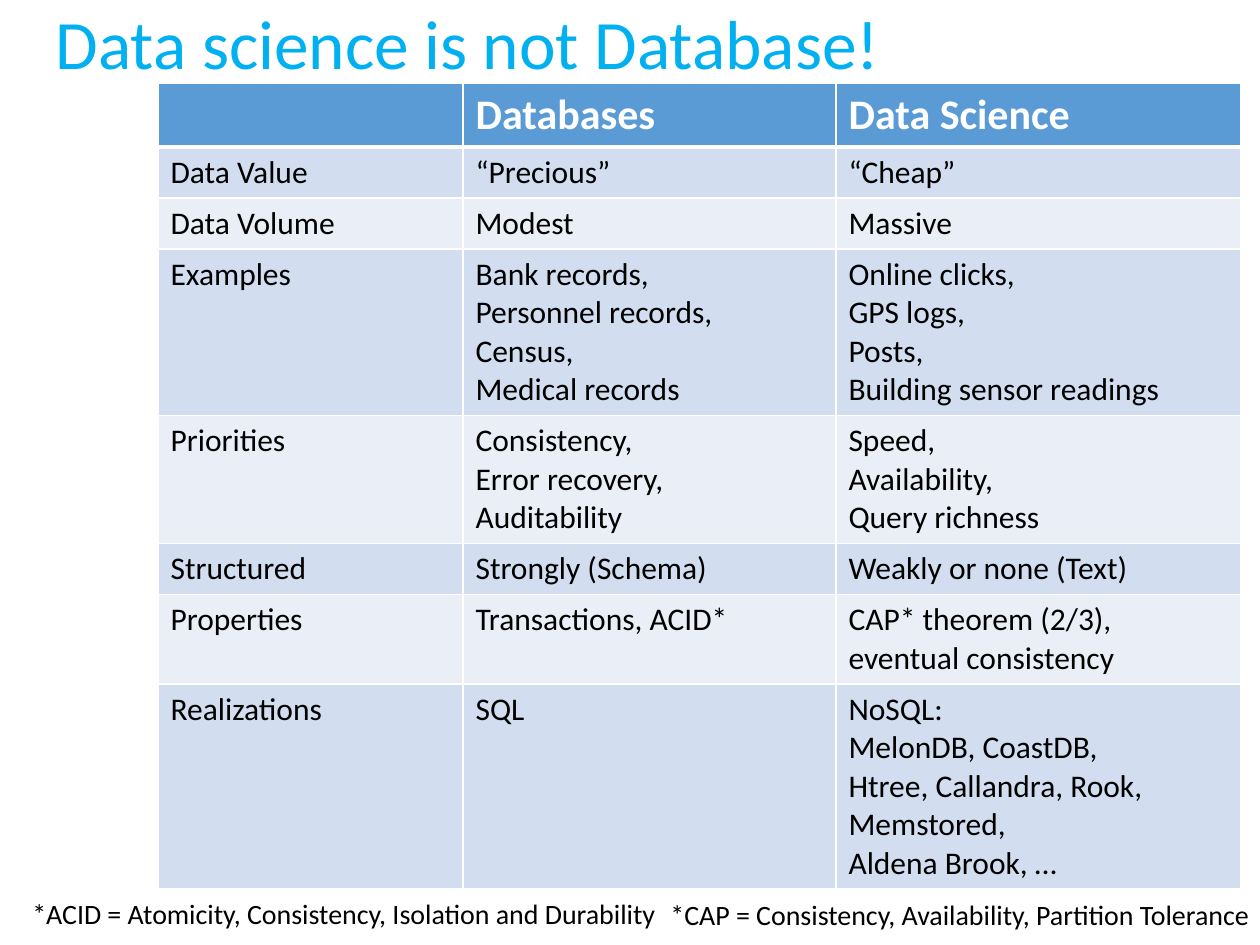
from lxml.etree import SubElement
from pptx import Presentation
from pptx.dml.color import RGBColor
from pptx.enum.text import MSO_ANCHOR as Anchor, MSO_AUTO_SIZE as Fit, PP_ALIGN as Align
from pptx.oxml.ns import qn
from pptx.util import Pt

SCALE = 914400 / 126
FONT = "Calibri"
WIDTHS = (305, 373, 405)
HEAD = ("", "Databases", "Data Science")
# Lines of text in the tallest cell, then the three cells
ROWS = [
    (1, "Data Value", "“Precious”", "“Cheap”"),
    (1, "Data Volume", "Modest", "Massive"),
    (4, "Examples", "Bank records,\vPersonnel records,\nCensus,\nMedical records",
     "Online clicks,\nGPS logs,\nPosts,\nBuilding sensor readings"),
    (3, "Priorities", "Consistency,\nError recovery,\nAuditability",
     "Speed,\nAvailability,\nQuery richness"),
    (1, "Structured", "Strongly (Schema)", "Weakly or none (Text)"),
    (2, "Properties", "Transactions, ACID*",
     "CAP* theorem (2/3),\neventual consistency"),
    (5, "Realizations", "SQL",
     "NoSQL:\nMelonDB, CoastDB,\nHtree, Callandra, Rook, Memstored,\nAldena Brook, …"),
]


def px(n):
    return round(n * SCALE)


def color(code):
    return RGBColor.from_string(code)


def style(frame, size, code, bold=False):
    for para in frame.paragraphs:
        font = para.font
        font.name, font.size, font.bold = FONT, Pt(size), bold
        font.color.rgb = color(code)


def add_title(slide, x, y, w, h):
    title = slide.shapes.title
    title.left, title.top, title.width, title.height = map(px, (x, y, w, h))
    frame = title.text_frame
    frame.text = "Data science is not Database!"
    frame.auto_size = Fit.NONE
    frame.vertical_anchor = Anchor.MIDDLE
    para = frame.paragraphs[0]
    para.alignment = Align.LEFT
    para.line_spacing = 0.9
    style(frame, 39.6, "00B0F0")


def add_border(cell, side, width):
    line = SubElement(cell._tc.get_or_add_tcPr(), qn("a:ln" + side), w=str(Pt(width)))
    fill = SubElement(line, qn("a:solidFill"))
    SubElement(fill, qn("a:srgbClr"), val="FFFFFF")


def fill_cell(cell, text, back, size, code, head):
    cell.text = text
    style(cell.text_frame, size, code, head)
    for side in "LRTB":
        add_border(cell, side, 3 if head and side == "B" else 1)
    cell.fill.solid()
    cell.fill.fore_color.rgb = color(back)


def add_grid(slide, x, y):
    heights = [62] + [13 + 38 * row[0] for row in ROWS]
    table = slide.shapes.add_table(len(heights), len(WIDTHS), px(x), px(y),
                                   px(sum(WIDTHS)), px(sum(heights))).table
    for col, width in zip(table.columns, WIDTHS):
        col.width = px(width)
    for row, height in zip(table.rows, heights):
        row.height = px(height)
    for c, text in enumerate(HEAD):
        fill_cell(table.cell(0, c), text, "5B9BD5", 24, "FFFFFF", True)
    for r, (_, *texts) in enumerate(ROWS, 1):
        back = "D2DEEF" if r % 2 else "EAEFF7"
        for c, text in enumerate(texts):
            fill_cell(table.cell(r, c), text, back, 18, "000000", False)


def add_note(slide, x, y, w, h, text, wrap):
    frame = slide.shapes.add_textbox(*map(px, (x, y, w, h))).text_frame
    frame.text = text
    frame.word_wrap = wrap
    frame.auto_size = Fit.SHAPE_TO_FIT_TEXT
    style(frame, 16, "000000")


def main():
    deck = Presentation()
    deck.slide_width, deck.slide_height = px(1260), px(945)
    slide = deck.slides.add_slide(deck.slide_layouts[5])
    add_title(slide, 43, 33, 1200, 29)
    add_grid(slide, 158, 83)
    add_note(slide, 20, 890, 656, 47,
             "*ACID = Atomicity, Consistency, Isolation and Durability", False)
    add_note(slide, 658, 891, 651, 47,
             "*CAP = Consistency, Availability, Partition Tolerance", True)
    deck.save("out.pptx")


if __name__ == "__main__":
    main()
